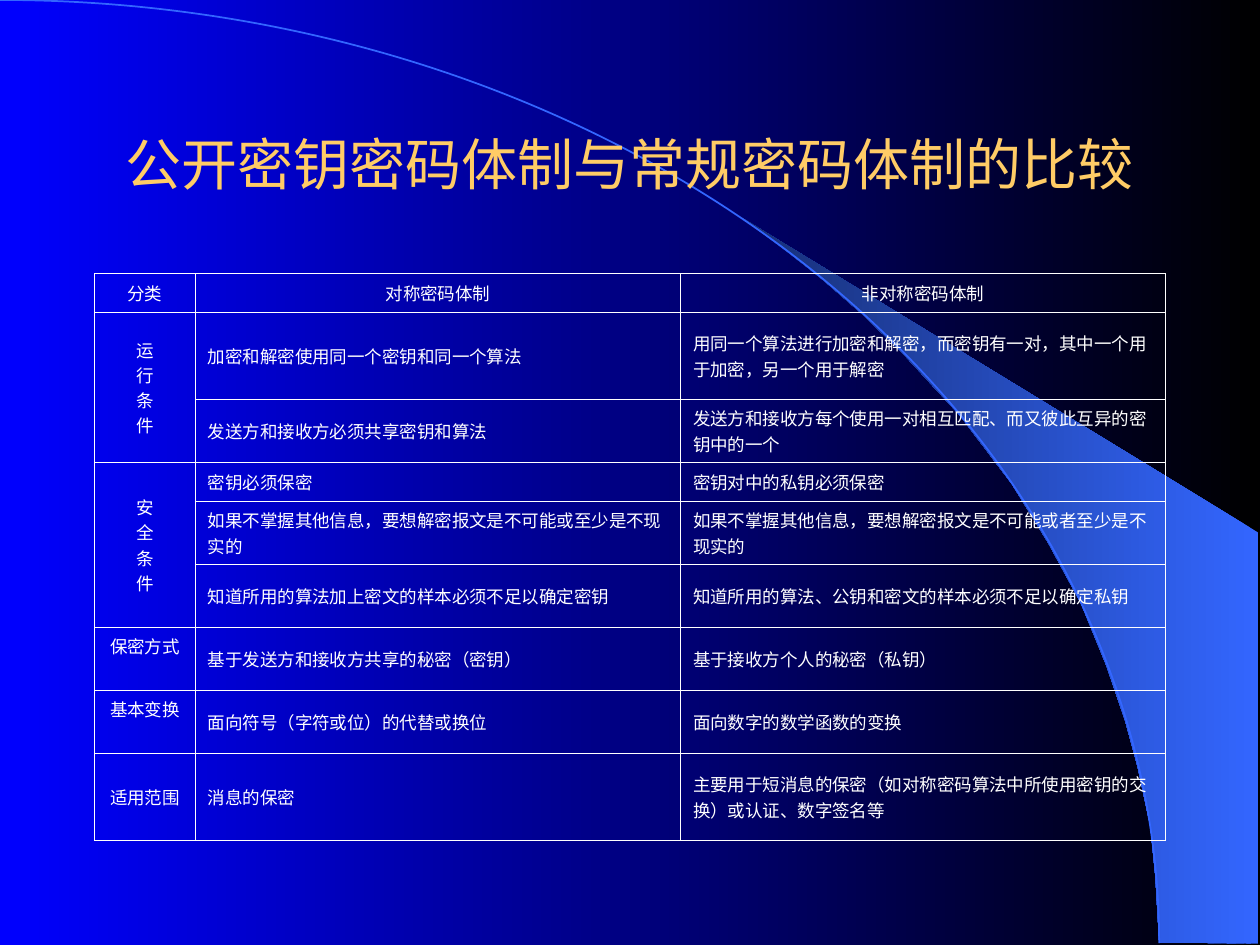
"""Build a slide comparing public-key and conventional cryptosystems."""
from lxml import etree
from pptx import Presentation
from pptx.dml.color import RGBColor
from pptx.enum.shapes import MSO_SHAPE
from pptx.enum.text import MSO_ANCHOR, PP_ALIGN
from pptx.oxml.ns import qn
from pptx.util import Inches, Pt

ARC = MSO_SHAPE.ARC
TOP, MIDDLE = MSO_ANCHOR.TOP, MSO_ANCHOR.MIDDLE
LEFT, CENTER = PP_ALIGN.LEFT, PP_ALIGN.CENTER

COLORS = {
    "black": "000000",
    "blue": "0000FF",
    "sail": "3366FF",
    "sail_dark": "172F75",
    "title": "FFCC66",
    "white": "FFFFFF",
}
TITLE_FONT, TABLE_FONT = "Arial", "Noto Sans CJK SC"
TITLE = "公开密钥密码体制与常规密码体制的比较"
ROWS = [
    ("分类", "对称密码体制", "非对称密码体制"),
    ("运\n行\n条\n件", "加密和解密使用同一个密钥和同一个算法",
     "用同一个算法进行加密和解密，而密钥有一对，其中一个用于加密，另一个用于解密"),
    ("", "发送方和接收方必须共享密钥和算法",
     "发送方和接收方每个使用一对相互匹配、而又彼此互异的密钥中的一个"),
    ("安\n全\n条\n件", "密钥必须保密", "密钥对中的私钥必须保密"),
    ("", "如果不掌握其他信息，要想解密报文是不可能或至少是不现实的",
     "如果不掌握其他信息，要想解密报文是不可能或者至少是不现实的"),
    ("", "知道所用的算法加上密文的样本必须不足以确定密钥",
     "知道所用的算法、公钥和密文的样本必须不足以确定私钥"),
    ("保密方式", "基于发送方和接收方共享的秘密（密钥）", "基于接收方个人的秘密（私钥）"),
    ("基本变换", "面向符号（字符或位）的代替或换位", "面向数字的数学函数的变换"),
    ("适用范围", "消息的保密",
     "主要用于短消息的保密（如对称密码算法中所使用密钥的交换）或认证、数字签名等"),
]
COLUMN_WIDTHS = [0.8, 3.85, 3.85]
ROW_HEIGHTS = [0.31, 0.69, 0.5, 0.31, 0.5, 0.5, 0.5, 0.5, 0.69]
MERGED_ROWS = [(1, 2), (3, 5)]
TOP_ANCHORED_LABELS = {"保密方式", "基本变换"}
SAIL_POINTS = [
    (9.2, 7.48), (9.99, 7.49), (9.99, 4.23), (5.89, 1.73), (6.24, 1.99), (6.53, 2.22),
    (6.85, 2.5), (7.16, 2.8), (7.62, 3.3), (8.03, 3.84), (8.32, 4.31), (8.58, 4.79),
    (8.78, 5.28), (8.93, 5.72), (9.03, 6.09), (9.13, 6.56), (9.17, 6.96),
]


def rgb(name):
    return RGBColor.from_string(COLORS[name])


def set_gradient(fill, *names):
    fill.gradient()
    fill.gradient_angle = 180
    for stop, name in zip(fill.gradient_stops, names):
        stop.color.rgb = rgb(name)


def write_text(text_frame, text, *, size, font, color, alignment=LEFT):
    text_frame.word_wrap = True
    text_frame.text = text
    for paragraph in text_frame.paragraphs:
        paragraph.alignment = alignment
        for run in paragraph.runs:
            run.font.size = Pt(size)
            run.font.name = font
            run.font.color.rgb = rgb(color)
            east_asian = etree.SubElement(run.font._element, qn("a:ea"))
            east_asian.set("typeface", font)


def set_borders(cell, color, width):
    properties = cell._tc.get_or_add_tcPr()
    for side in ("lnL", "lnR", "lnT", "lnB"):
        line = etree.SubElement(properties, qn(f"a:{side}"), w=str(Pt(width)))
        fill = etree.SubElement(line, qn("a:solidFill"))
        etree.SubElement(fill, qn("a:srgbClr"), val=COLORS[color])


def add_backdrop(slide):
    set_gradient(slide.background.fill, "black", "blue")
    points = [(Inches(x), Inches(y)) for x, y in SAIL_POINTS]
    builder = slide.shapes.build_freeform(*points[0])
    builder.add_line_segments(points[1:], close=True)
    sail = builder.convert_to_shape()
    sail.shadow.inherit = False
    set_gradient(sail.fill, "sail", "sail_dark")
    sail.line.fill.background()

    arc = slide.shapes.add_shape(ARC, Inches(-9.2), 0, Inches(18.4), Inches(14.97))
    arc.shadow.inherit = False
    arc.fill.background()
    arc.line.color.rgb = rgb("sail")
    arc.line.width = Pt(1)


def add_title(slide):
    title = slide.shapes.add_textbox(Inches(0.75), Inches(0.67), Inches(8.5), Inches(1.25))
    title.text_frame.vertical_anchor = MIDDLE
    write_text(title.text_frame, TITLE, size=32, font=TITLE_FONT, color="title",
               alignment=CENTER)


def add_comparison(slide):
    table = slide.shapes.add_table(
        len(ROWS), len(COLUMN_WIDTHS), Inches(0.75), Inches(2.17),
        Inches(sum(COLUMN_WIDTHS)), Inches(sum(ROW_HEIGHTS))).table
    table.first_row = table.horz_banding = False
    for column, width in zip(table.columns, COLUMN_WIDTHS):
        column.width = Inches(width)
    for row, height in zip(table.rows, ROW_HEIGHTS):
        row.height = Inches(height)
    for first, last in MERGED_ROWS:
        table.cell(first, 0).merge(table.cell(last, 0))
    for row_index, texts in enumerate(ROWS):
        for column_index, text in enumerate(texts):
            cell = table.cell(row_index, column_index)
            set_borders(cell, "white", 0.45)
            cell.fill.background()
            cell.vertical_anchor = TOP if text in TOP_ANCHORED_LABELS else MIDDLE
            if text:
                centered = row_index == 0 or column_index == 0
                write_text(cell.text_frame, text, size=10, font=TABLE_FONT,
                           color="white", alignment=CENTER if centered else LEFT)


def main():
    presentation = Presentation()
    presentation.slide_width, presentation.slide_height = Inches(10), Inches(7.5)
    slide = presentation.slides.add_slide(presentation.slide_layouts[6])
    add_backdrop(slide)
    add_title(slide)
    add_comparison(slide)
    presentation.save("out.pptx")


if __name__ == "__main__":
    main()
